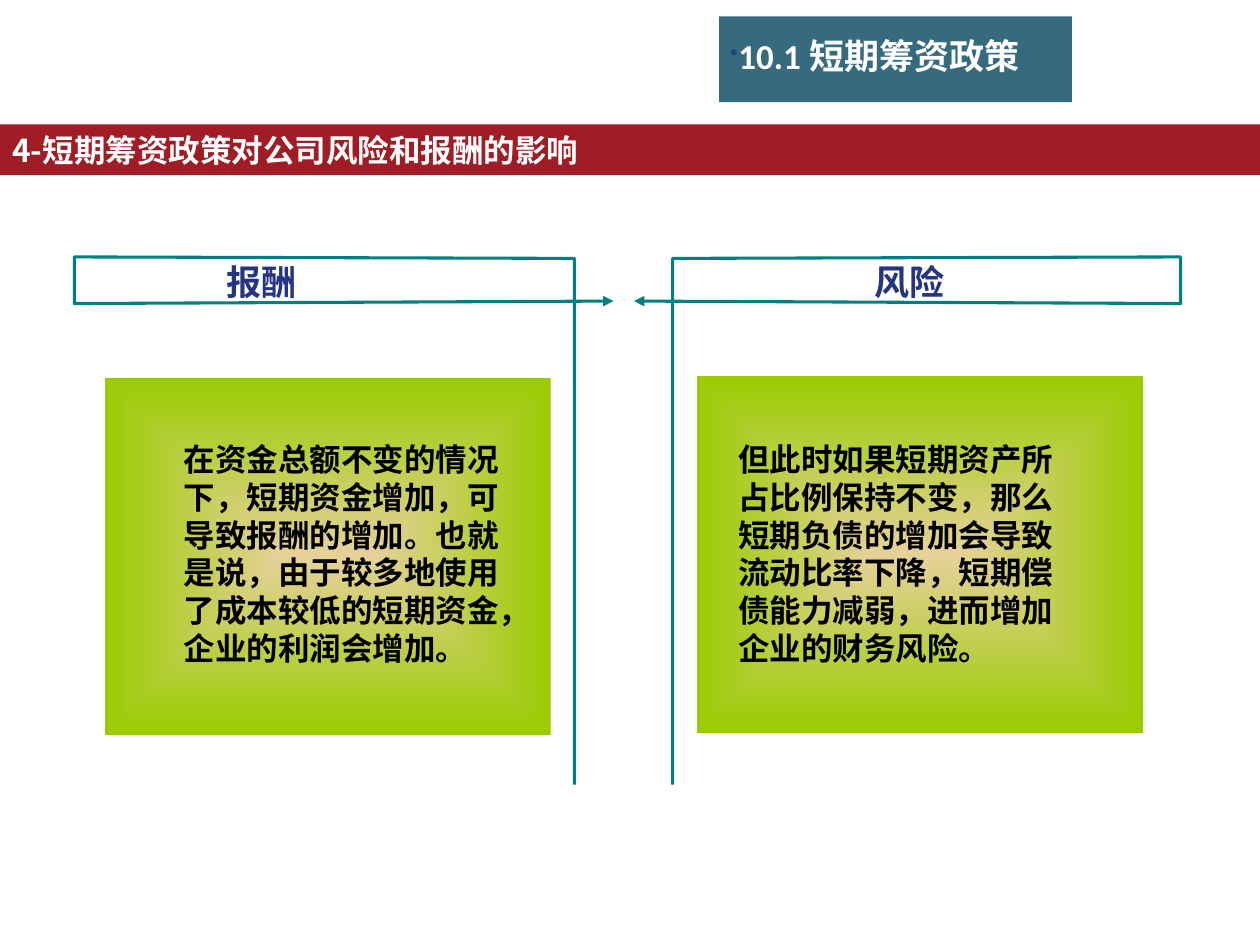
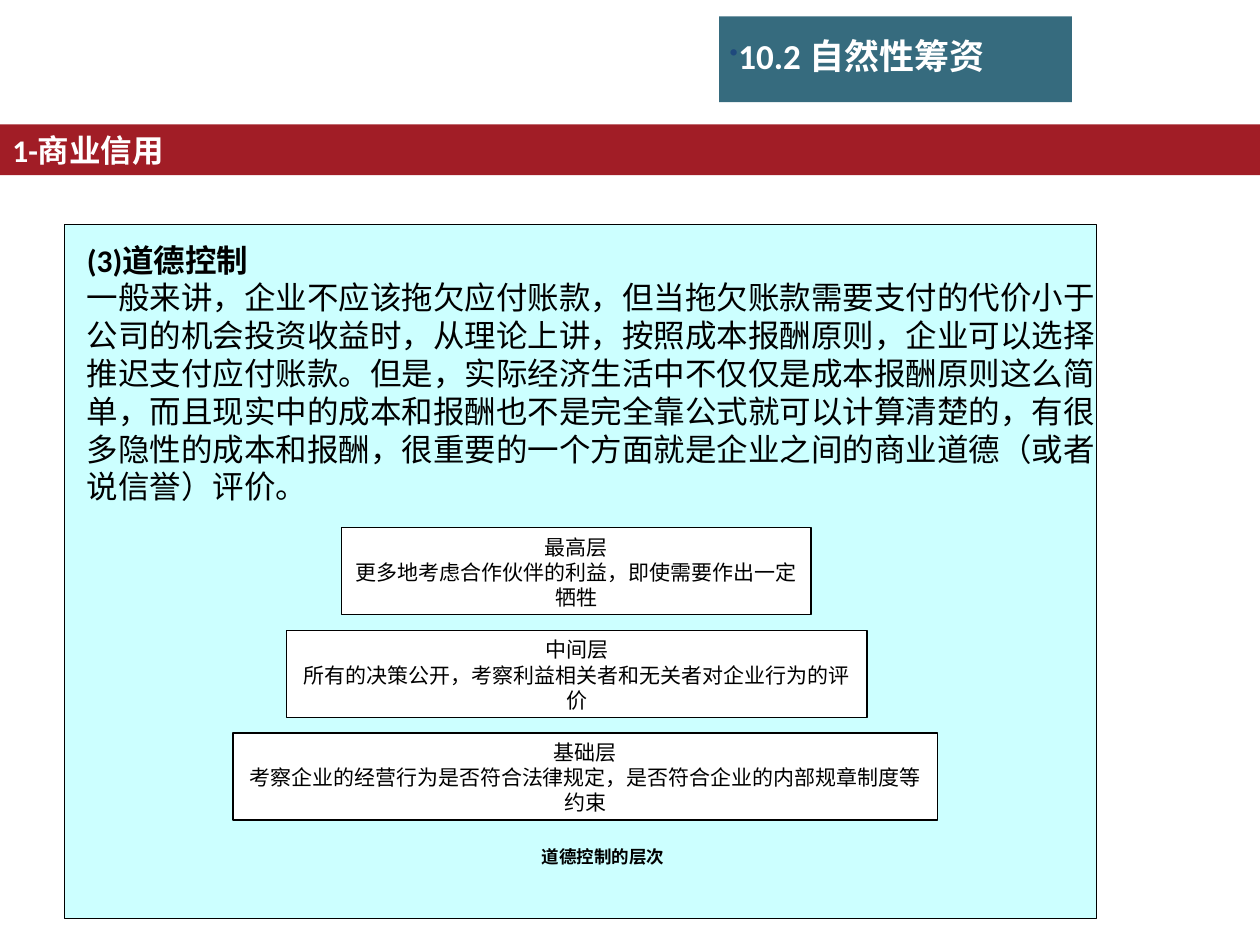
from pptx import Presentation
from pptx.dml.color import RGBColor
from pptx.enum.shapes import MSO_SHAPE as Preset
from pptx.enum.text import MSO_ANCHOR as Anchor, MSO_AUTO_SIZE as AutoSize, PP_ALIGN as Align
from pptx.oxml import parse_xml
from pptx.oxml.ns import nsdecls, qn
from pptx.util import Cm, Pt
from lxml.etree import SubElement

TEAL, RED, WHITE, BLACK = "366B7E", "A11D26", "FFFFFF", "000000"
BULLET, FRAME, HEADING = "1F497D", "008080", "263582"
CARD_CENTRE, CARD_EDGE, PANEL = "E6D199", "99CC00", "CCFFFF"
LATIN, SERIF, CJK = "Calibri", "Times New Roman", "Noto Sans CJK SC"
COMPARISON, TITLE_AND_CONTENT = 4, 1

EFFECTS = [
    dict(heading="报酬", heading_left=3.2, heading_indent=1.37,
         text="在资金总额不变的情况下，短期资金增加，可导致报酬的增加。也就是说，"
              "由于较多地使用了成本较低的短期资金，企业的利润会增加。",
         text_left=3.45, card=(2.11, 7.62), tip=12.37, outer=1.5, stem=11.58),
    dict(heading="风险", heading_left=15.14, heading_indent=2.49,
         text="但此时如果短期资产所占比例保持不变，那么短期负债的增加会导致流动比率下降，"
              "短期偿债能力减弱，进而增加企业的财务风险。",
         text_left=14.63, card=(14.05, 7.59), tip=12.78, outer=23.8, stem=13.56),
]

MORAL_CONTROL = [
    "(3)道德控制",
    "一般来讲，企业不应该拖欠应付账款，但当拖欠账款需要支付的代价小于公司的机会投资收益时，"
    "从理论上讲，按照成本报酬原则，企业可以选择推迟支付应付账款。但是，实际经济生活中不仅仅是"
    "成本报酬原则这么简单，而且现实中的成本和报酬也不是完全靠公式就可以计算清楚的，有很多隐性的"
    "成本和报酬，很重要的一个方面就是企业之间的商业道德（或者说信誉）评价。",
]
LEVELS = [
    (6.88, 9.47, ["最高层", "更多地考虑合作伙伴的利益，即使需要作出一定牺牲"]),
    (5.77, 11.71, ["中间层", "所有的决策公开，考察利益相关者和无关者对企业行为的评价"]),
    (4.7, 14.2, ["基础层", "考察企业的经营行为是否符合法律规定，是否符合企业的内部规章制度等约束"]),
]
LEVEL_TOP, LEVEL_STEP, LEVEL_HEIGHT = 10.64, 2.07, 1.75


def color(hex_code):
    return RGBColor.from_string(hex_code)


def place(shape, left, top, width, height):
    shape.left, shape.top, shape.width, shape.height = map(Cm, (left, top, width, height))
    tree = shape._element.getparent()
    tree.append(shape._element)
    return shape


def write(shape, lines, size=18, font=LATIN, ink=BLACK, bold=False, align=Align.LEFT,
          anchor=Anchor.TOP, margins=(0.25, 0.13, 0.25, 0.13), bullet=None):
    frame = shape.text_frame
    frame.text = "\n".join(lines)
    frame.word_wrap, frame.auto_size, frame.vertical_anchor = True, AutoSize.NONE, anchor
    (frame.margin_left, frame.margin_top,
     frame.margin_right, frame.margin_bottom) = map(Cm, margins)
    for paragraph in frame.paragraphs:
        paragraph.alignment, paragraph.space_before = align, Pt(0)
        settings = paragraph._p.get_or_add_pPr()
        settings.set("marL", "0")
        settings.set("indent", "0")
        if bullet:
            tint = SubElement(settings, qn("a:buClr"))
            SubElement(tint, qn("a:srgbClr"), val=BULLET)
            SubElement(settings, qn("a:buSzPct"), val="70000")
            SubElement(settings, qn("a:buChar"), char=bullet)
        else:
            SubElement(settings, qn("a:buNone"))
        for run in paragraph.runs:
            run.font.size, run.font.name, run.font.bold = Pt(size), font, bold
            run.font.color.rgb = color(ink)
            SubElement(run._r.get_or_add_rPr(), qn("a:ea"), typeface=CJK)
    return frame


def add_box(slide, left, top, width, height, fill=None, line=None):
    box = slide.shapes.add_shape(Preset.RECTANGLE, *map(Cm, (left, top, width, height)))
    box.shadow.inherit = False
    if fill:
        box.fill.solid()
        box.fill.fore_color.rgb = color(fill)
    else:
        box.fill.background()
    if line:
        box.line.color.rgb = color(line)
        box.line.width = Pt(0.75)
    else:
        box.line.fill.background()
    return box


def add_card(slide, left, top):
    card = add_box(slide, left, top, 8.99, 7.19)
    properties = card._element.spPr
    gradient = parse_xml(
        f'<a:gradFill {nsdecls("a")} rotWithShape="1"><a:gsLst>'
        f'<a:gs pos="0"><a:srgbClr val="{CARD_CENTRE}"/></a:gs>'
        f'<a:gs pos="100000"><a:srgbClr val="{CARD_EDGE}"/></a:gs></a:gsLst>'
        '<a:path path="shape"><a:fillToRect l="50000" t="50000" r="50000" b="50000"/>'
        '</a:path></a:gradFill>')
    properties.replace(properties.find(qn("a:noFill")), gradient)


def add_frame(slide, tip, outer, stem):
    corners = [(tip, 6.07), (outer, 6.12), (outer, 5.18), (stem, 5.21), (stem, 15.82)]
    start, *rest = [(Cm(x), Cm(y)) for x, y in corners]
    builder = slide.shapes.build_freeform(*start)
    builder.add_line_segments(rest, close=False)
    outline = builder.convert_to_shape()
    outline.shadow.inherit = False
    outline.fill.background()
    outline.line.color.rgb = color(FRAME)
    outline.line.width = Pt(1.75)
    SubElement(outline.line._get_or_add_ln(), qn("a:headEnd"), type="triangle")


def add_page(deck, layout, section, topic, topic_font=LATIN):
    slide = deck.slides.add_slide(deck.slide_layouts[layout])
    add_box(slide, 14.5, 0.33, 7.11, 1.73, fill=TEAL)
    title = place(slide.shapes.title, 14.71, 0.69, 6.99, 0.86)
    write(title, [section], size=20, ink=WHITE, bold=True, anchor=Anchor.MIDDLE,
          margins=(0, 0, 0, 0), bullet="•")
    band = add_box(slide, 0, 2.51, 25.4, 1.02, fill=RED)
    write(band, [topic], font=topic_font, ink=WHITE, bold=True)
    return slide


def build_effects(deck):
    slide = add_page(deck, COMPARISON, "10.1 短期筹资政策",
                     "4-短期筹资政策对公司风险和报酬的影响", CJK)
    slots = {slot.placeholder_format.idx: slot for slot in slide.placeholders}
    for number, effect in enumerate(EFFECTS):
        add_card(slide, *effect["card"])
        add_frame(slide, effect["tip"], effect["outer"], effect["stem"])
        heading = place(slots[2 * number + 1], effect["heading_left"], 5.13, 7.75, 1.09)
        write(heading, [effect["heading"]], size=20, font=SERIF, ink=HEADING, bold=True,
              margins=(effect["heading_indent"], 0.13, 0.25, 0.13))
        explanation = place(slots[2 * number + 2], effect["text_left"], 6.58, 7.19, 7.14)
        write(explanation, [effect["text"]], bold=True, margins=(0.25, 2.29, 0.25, 0.13))


def build_moral_control(deck):
    slide = add_page(deck, TITLE_AND_CONTENT, "10.2 自然性筹资", "1-商业信用")
    add_box(slide, 1.3, 4.52, 20.8, 14, fill=PANEL, line=BLACK)
    discussion = place(slide.placeholders[1], 1.5, 4.72, 21.01, 5.59)
    lead = write(discussion, MORAL_CONTROL).paragraphs[0]
    lead.runs[0].font.bold = True
    for number, (left, width, lines) in enumerate(LEVELS):
        level = add_box(slide, left, LEVEL_TOP + number * LEVEL_STEP, width, LEVEL_HEIGHT,
                        fill=WHITE, line=BLACK)
        write(level, lines, size=12, font=SERIF, align=Align.CENTER)
    caption = slide.shapes.add_textbox(*map(Cm, (10.31, 16.92, 3.33, 0.69)))
    write(caption, ["道德控制的层次"], size=10, font=SERIF, bold=True, align=Align.CENTER,
          anchor=Anchor.MIDDLE, margins=(0.36, 0.13, 0, 0.13))


deck = Presentation()
deck.slide_width, deck.slide_height = Cm(25.4), Cm(19.05)
build_effects(deck)
build_moral_control(deck)
deck.save("out.pptx")
